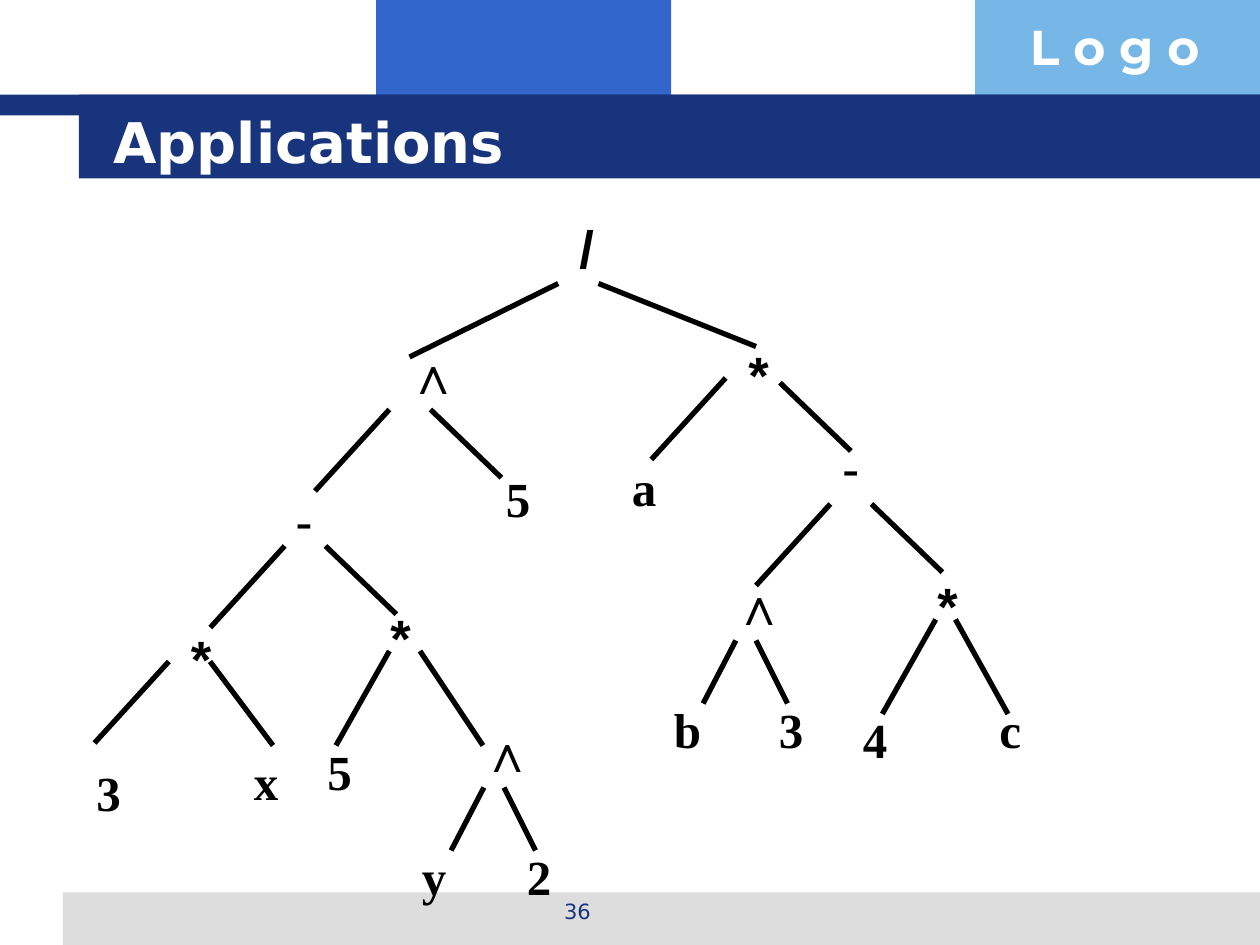
"""Build the Applications slide with its expression tree."""
from lxml import etree
from pptx import Presentation
from pptx.dml.color import RGBColor
from pptx.enum.shapes import MSO_CONNECTOR, MSO_SHAPE
from pptx.enum.text import MSO_ANCHOR, MSO_AUTO_SIZE, PP_ALIGN
from pptx.oxml.ns import qn
from pptx.util import Pt

RECT = MSO_SHAPE.RECTANGLE
LINE = MSO_CONNECTOR.STRAIGHT
TOP = MSO_ANCHOR.TOP
GROW, FIXED = MSO_AUTO_SIZE.SHAPE_TO_FIT_TEXT, MSO_AUTO_SIZE.NONE
LEFT, CENTER = PP_ALIGN.LEFT, PP_ALIGN.CENTER

THEME = {
    "blue": RGBColor(0x33, 0x66, 0xCC),
    "sky": RGBColor(0x77, 0xB7, 0xE7),
    "grey": RGBColor(0xDD, 0xDD, 0xDD),
    "navy": RGBColor(0x17, 0x34, 0x7D),
    "white": RGBColor(0xFF, 0xFF, 0xFF),
    "black": RGBColor(0, 0, 0),
    "title": Pt(32),
    "operator": Pt(30),
    "leaf": Pt(28),
    "logo": Pt(28),
    "number": Pt(12),
    "edge": Pt(3),
}


def place(sp, x, y, w, h):
    box = {"left": x, "top": y, "width": w, "height": h}
    for name, value in box.items():
        setattr(sp, name, Pt(value))


def write(sp, text, face, size, color, bold=True, wrap=True, fit=GROW, align=LEFT):
    tf = sp.text_frame
    frame = {"word_wrap": wrap, "auto_size": fit, "vertical_anchor": TOP}
    for name, value in frame.items():
        setattr(tf, name, value)
    p = tf.paragraphs[0]
    p.alignment = align
    r = p.add_run()
    r.text = text
    font = {"name": face, "size": THEME[size], "bold": bold}
    for name, value in font.items():
        setattr(r.font, name, value)
    r.font.color.rgb = THEME[color]


prs = Presentation()
prs.slide_width, prs.slide_height = Pt(720), Pt(540)
s = prs.slides.add_slide(prs.slide_layouts[5])

BANDS = [
    ("blue", 215, 0, 168.5, 66),
    ("sky", 557.3, 0, 162.7, 66),
    ("grey", 36, 510, 684, 30),
    ("navy", 0, 54, 720, 12),
    ("navy", 45, 54, 675, 48),
]
for color, *box in BANDS:
    sp = s.shapes.add_shape(RECT, *map(Pt, box))
    sp.shadow.inherit = False
    sp.fill.solid()
    sp.fill.fore_color.rgb = THEME[color]
    sp.line.fill.background()

logo = s.shapes.add_textbox(Pt(581.5), Pt(6), Pt(138.5), Pt(41))
write(logo, "L o g o", "Montserrat", "logo", "white")

number = s.shapes.add_textbox(Pt(246), Pt(510), Pt(168), Pt(25))
write(number, "36", "DejaVu Sans", "number", "navy",
      bold=False, fit=FIXED, align=CENTER)

title = s.shapes.title
s.shapes.element.append(title.element)
place(title, 57.6, 57.6, 614, 44.6)
write(title, "Applications", "DejaVu Sans", "title", "white", fit=FIXED)

EDGES = {
    (-85, 42): [(319, 162)],
    (90, 36): [(342, 162)],
    (-42.5, 46.6): [(222.5, 234), (414.7, 216), (162.7, 312),
                    (474.5, 288), (96.5, 378)],
    (40.5, 39): [(246, 234), (445.7, 218.7), (186, 312), (498, 288)],
    (36, 48): [(120, 378)],
    (-30.5, 54): [(222.5, 372), (534.7, 354)],
    (36, 54): [(240, 372)],
    (30, 54): [(546, 354)],
    (-18.7, 36): [(276.5, 450), (420.5, 366)],
    (18, 36): [(288, 450), (432, 366)],
}
for (dx, dy), starts in EDGES.items():
    for x, y in starts:
        c = s.shapes.add_connector(LINE, Pt(x), Pt(y), Pt(x + dx), Pt(y + dy))
        c.line.width = THEME["edge"]
        c.line.color.rgb = THEME["black"]
        etree.SubElement(c.element.spPr, qn("a:effectLst"))

OPERATORS = {
    "/": ("Arial", "operator", 22.3, 43, [(324, 120)]),
    "∧": ("Arial", "operator", 24.5, 43,
          [(226, 192), (268, 408), (412, 324)]),
    "*": ("Arial", "operator", 26, 43,
          [(420.5, 192), (216, 342), (102, 354), (528.5, 324)]),
    "-": ("Times New Roman", "leaf", 23.8, 41, [(162, 276), (474.5, 246)]),
}
for text, (face, size, w, h, spots) in OPERATORS.items():
    for x, y in spots:
        sp = s.shapes.add_textbox(Pt(x), Pt(y), Pt(w), Pt(h))
        write(sp, text, face, size, "black", wrap=False)

LEAVES = [
    ("5", 282, 264), ("3", 48, 432), ("x", 138, 426), ("5", 180, 420),
    ("y", 234, 480), ("2", 294, 480), ("a", 354, 258), ("b", 378, 396),
    ("3", 438, 396), ("4", 486, 402), ("c", 564, 396),
]
for text, x, y in LEAVES:
    sp = s.shapes.add_textbox(Pt(x), Pt(y), Pt(29.5), Pt(41))
    write(sp, text, "Times New Roman", "leaf", "black")

prs.save("out.pptx")
